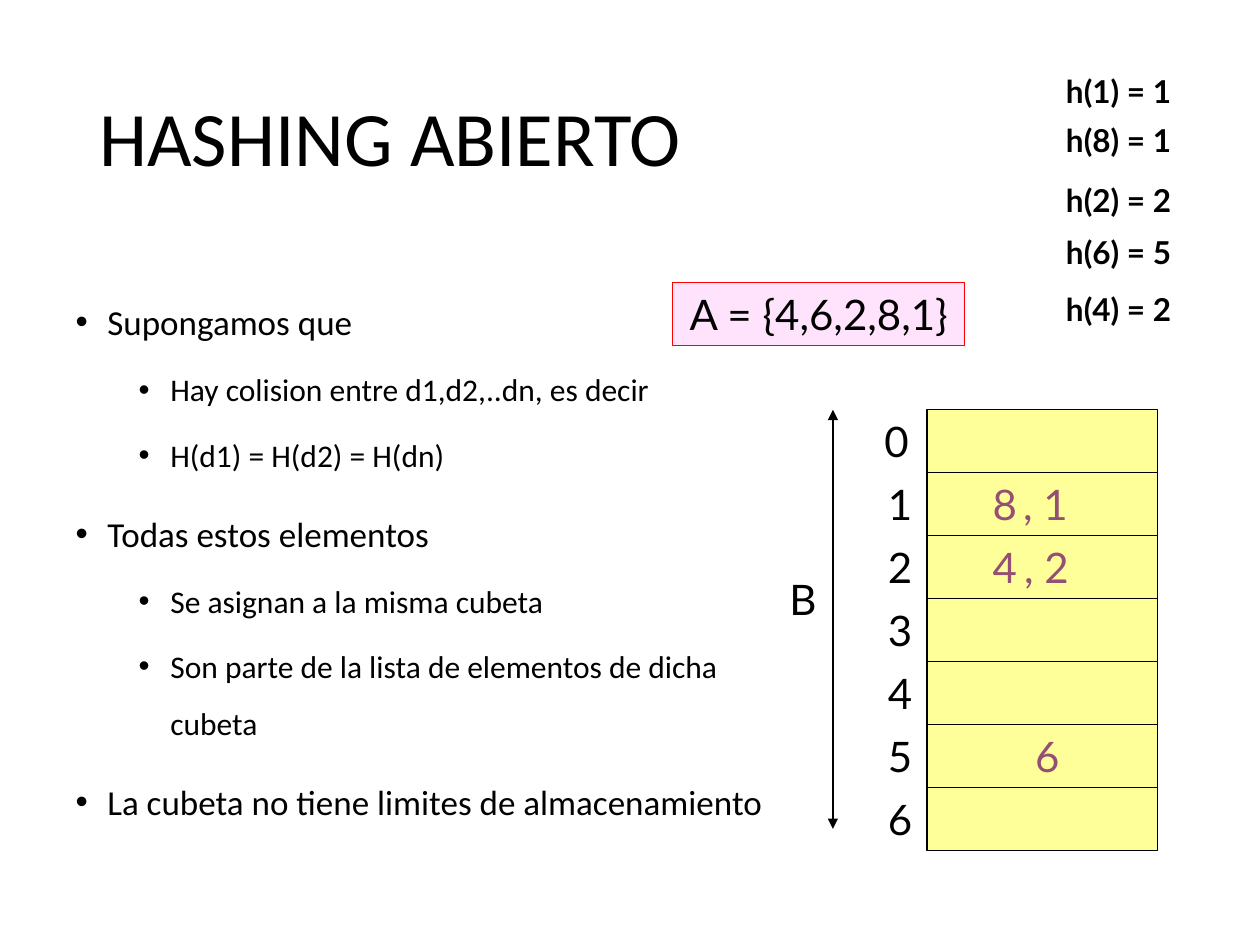
"""Build the open hashing slide with its bucket table and hash values."""
from dataclasses import dataclass

from lxml.etree import SubElement
from pptx import Presentation
from pptx.dml.color import RGBColor as Color
from pptx.enum.shapes import MSO_CONNECTOR as Connector, MSO_SHAPE as Shape
from pptx.enum.text import MSO_ANCHOR as Anchor, MSO_AUTO_SIZE as AutoSize, PP_ALIGN as Align
from pptx.oxml.ns import qn
from pptx.util import Cm, Pt


@dataclass(frozen=True)
class Theme:
    ink: Color = Color.from_string("000000")
    paper: Color = Color.from_string("FFFFFF")
    bucket: Color = Color.from_string("FFFF99")
    entry: Color = Color.from_string("954F72")
    set_fill: Color = Color.from_string("FFE3FD")
    set_line: Color = Color.from_string("FF0000")
    heading_font: str = "Calibri"
    label_font: str = "Lato"
    title_size: int = 44
    bullet_sizes: tuple = (20, 18)
    label_size: int = 24
    hash_size: int = 18
    line_width: float = 0.75


theme = Theme()
deck = Presentation()
deck.slide_width, deck.slide_height = Cm(25.4), Cm(19.05)
page = deck.slides.add_slide(deck.slide_layouts[1])


def write(para, text, size, font=theme.label_font, color=theme.ink, bold=False):
    span = para.add_run()
    span.text = text
    span.font.size, span.font.name, span.font.bold = Pt(size), font, bold
    span.font.color.rgb = color


def add_label(text, left, top, width=0.97, height=1.27, size=theme.label_size,
              color=theme.ink, bold=False, fill=None, line=None):
    box = page.shapes.add_textbox(Cm(left), Cm(top), Cm(width), Cm(height))
    box.text_frame.word_wrap = False
    box.text_frame.auto_size = AutoSize.SHAPE_TO_FIT_TEXT
    if fill is not None:
        box.fill.solid()
        box.fill.fore_color.rgb = fill
    if line is not None:
        box.line.color.rgb = line
        box.line.width = Pt(theme.line_width)
    para = box.text_frame.paragraphs[0]
    para.alignment = Align.CENTER
    write(para, text, size, color=color, bold=bold)


title = page.shapes.title
title.left, title.top, title.width, title.height = Cm(1.75), Cm(1.02), Cm(21.92), Cm(3.68)
title.text_frame.vertical_anchor = Anchor.MIDDLE
title.text_frame.auto_size = AutoSize.NONE
para = title.text_frame.paragraphs[0]
para.alignment, para.line_spacing = Align.LEFT, 0.9
write(para, "HASHING ABIERTO", theme.title_size, theme.heading_font)

bullets = [
    (0, "Supongamos que"),
    (1, "Hay colision entre d1,d2,..dn, es decir"),
    (1, "H(d1) = H(d2) = H(dn)"),
    (0, "Todas estos elementos"),
    (1, "Se asignan a la misma cubeta"),
    (1, "Son parte de la lista de elementos de dicha cubeta"),
    (0, "La cubeta no tiene limites de almacenamiento"),
]
body = page.placeholders[1]
body.left, body.top, body.width, body.height = Cm(1.27), Cm(5.51), Cm(14.6), Cm(11.43)
body.text_frame.auto_size = AutoSize.NONE
for index, (level, text) in enumerate(bullets):
    para = body.text_frame.add_paragraph() if index else body.text_frame.paragraphs[0]
    para.level, para.line_spacing, para.space_before = level, 1.5, Pt(10 - 5 * level)
    write(para, text, theme.bullet_sizes[level], theme.heading_font)
    layout = para._p.get_or_add_pPr()
    layout.set("marL", str(Cm(0.64 + 1.27 * level)))
    layout.set("indent", str(Cm(-0.64)))
    SubElement(layout, qn("a:buFont"), typeface="Arial")
    SubElement(layout, qn("a:buChar"), char="•")

table_left, table_top, row_height = 18.69, 8.26, 1.27
row_tops = [table_top + row * row_height for row in range(7)]
for row, top in enumerate(row_tops):
    cell = page.shapes.add_shape(
        Shape.RECTANGLE, Cm(table_left), Cm(top), Cm(4.65), Cm(row_height))
    cell.shadow.inherit = False
    cell.fill.solid()
    cell.fill.fore_color.rgb = theme.bucket
    cell.line.color.rgb = theme.ink
    cell.line.width = Pt(theme.line_width)
    add_label(str(row), 17.65 if row else 17.58, top)

arrow = page.shapes.add_connector(
    Connector.STRAIGHT, Cm(16.79), Cm(table_top), Cm(16.79), Cm(16.71))
arrow.line.color.rgb = theme.ink
arrow.line.width = Pt(theme.line_width)
for end in ("a:headEnd", "a:tailEnd"):
    SubElement(arrow.line._get_or_add_ln(), qn(end), type="triangle")
SubElement(arrow._element.spPr, qn("a:effectLst"))
add_label("B", 15.65, 11.43, width=1.07)

add_label("A = {4,6,2,8,1}", 13.56, 5.69, width=5.89,
          fill=theme.set_fill, line=theme.set_line)

hashes = [("h(4) = 2", 5.72), ("h(6) = 5", 4.57), ("h(2) = 2", 3.53),
          ("h(8) = 1", 2.31), ("h(1) = 1", 1.32)]
for text, top in hashes:
    add_label(text, 21.18, top, width=2.74, height=1.02, size=theme.hash_size,
              bold=True, fill=theme.paper)

entries = [("8", 1, 19.76, 0.97), (", 1", 1, 20.35, 1.45), ("4", 2, 19.76, 0.97),
           (", 2", 2, 20.37, 1.45), ("6", 5, 20.62, 0.97)]
for text, row, left, width in entries:
    add_label(text, left, row_tops[row], width=width, color=theme.entry)

deck.save("out.pptx")
